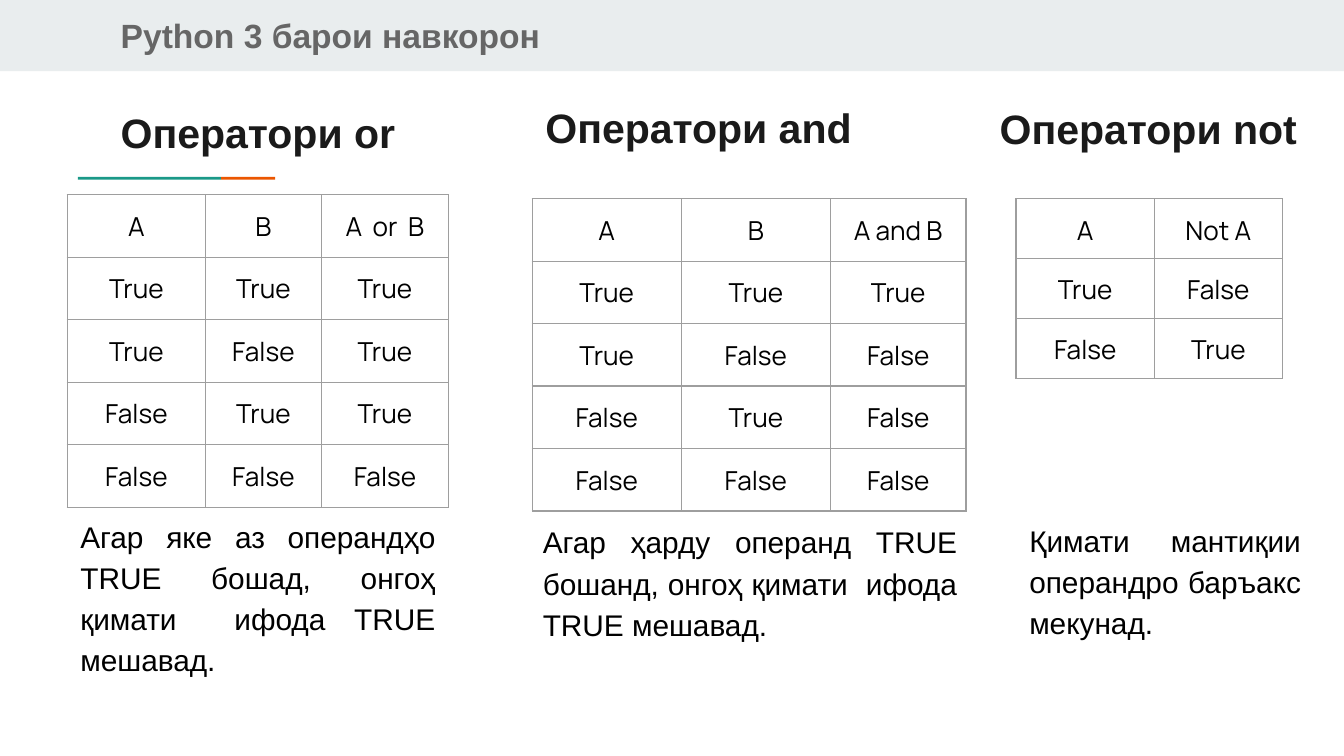
"""Build a slide with truth tables for the or, and and not operators."""
from lxml import etree
from pptx import Presentation
from pptx import util as u
from pptx.dml.color import RGBColor
from pptx.enum import shapes, text
from pptx.oxml.ns import qn

COLORS = {
    "band": "E9EDEE", "teal": "1A9988", "orange": "EB5600", "header": "666666",
    "heading": "1A1A1A", "body": "000000", "border": "9E9E9E",
}
INSET = 7.2
HEADER = {"size": u.Pt(18), "name": "Arial", "bold": True}
HEADING = {"size": u.Pt(22), "name": "Arial", "bold": True}
BODY = {"size": u.Pt(16), "name": "Arial"}
CELL = {"size": u.Pt(14), "name": "Manrope"}
JUSTIFIED = {"alignment": text.PP_ALIGN.JUSTIFY, "line_spacing": 1.15}
CENTERED = {"alignment": text.PP_ALIGN.CENTER}

HEADINGS = [
    ("Оператори or", (57.6, 50.4, 219.6, 42.5)),
    ("Оператори and", (285.1, 47.5, 219.6, 42.5)),
    ("Оператори not", (528.5, 48.2, 181.4, 41)),
]
NOTES = [
    ("Агар яке аз операндҳо TRUE бошад, онгоҳ қимати  ифода TRUE мешавад.",
     (36, 267.8, 204.5, 113)),
    ("Агар ҳарду операнд TRUE бошанд, онгоҳ қимати  ифода TRUE мешавад.",
     (283.7, 270.7, 236.2, 78.5)),
    ("Қимати мантиқии операндро баръакс мекунад.",
     (544.3, 270, 159.8, 78.5)),
]
PAIRS = [(True, True), (True, False), (False, True), (False, False)]
TABLES = [
    (["A", "B", "A  or  B"], [(a, b, a or b) for a, b in PAIRS],
     (36, 104.4), (74.2, 61.9, 68.4), 33.5, INSET),
    (["A", "B", "A and B"], [(a, b, a and b) for a, b in PAIRS],
     (285.1, 106.4), (79.9, 79.9, 72.7), 33.5, INSET),
    (["A", "Not A"], [(a, not a) for a in (True, False)],
     (544.3, 106.4), (74.2, 68.4), 32.1, 5.5),
]


def points(values):
    """Convert numbers to lengths in points."""
    return [u.Pt(value) for value in values]


def set_all(target, values):
    """Set each named attribute on the target."""
    for name, value in values.items():
        setattr(target, name, value)


def write(frame, words, font, color, layout):
    """Fill a text frame with one formatted paragraph."""
    para = frame.paragraphs[0]
    set_all(para, layout)
    span = para.add_run()
    span.text = words
    set_all(span.font, font)
    span.font.color.rgb = RGBColor.from_string(COLORS[color])


def add_bar(page, place, color):
    """Add a plain filled rectangle."""
    bar = page.shapes.add_shape(shapes.MSO_SHAPE.RECTANGLE, *points(place))
    bar.shadow.inherit = False
    bar.fill.solid()
    bar.fill.fore_color.rgb = RGBColor.from_string(COLORS[color])
    bar.line.fill.background()


def add_words(page, words, place, font, color, layout, anchor=text.MSO_ANCHOR.TOP):
    """Add a wrapping text box with even insets."""
    frame = page.shapes.add_textbox(*points(place)).text_frame
    set_all(frame, {"word_wrap": True, "vertical_anchor": anchor})
    for side in ("left", "top", "right", "bottom"):
        setattr(frame, f"margin_{side}", u.Pt(INSET))
    write(frame, words, font, color, layout)


def add_borders(cell):
    """Draw a thin line on all four sides of a cell."""
    props = cell._tc.get_or_add_tcPr()
    for index, side in enumerate(("lnL", "lnR", "lnT", "lnB")):
        line = etree.Element(qn(f"a:{side}"), w=str(u.Pt(0.75)))
        fill = etree.SubElement(line, qn("a:solidFill"))
        etree.SubElement(fill, qn("a:srgbClr"), val=COLORS["border"])
        props.insert(index, line)


def add_truth_table(page, header, results, corner, widths, height, bottom):
    """Add a truth table with a header row and unfilled cells."""
    rows = [header] + [[str(value) for value in row] for row in results]
    size = (sum(widths), height * len(rows))
    table = page.shapes.add_table(
        len(rows), len(widths), *points(corner + size)).table
    set_all(table, {"first_row": False, "horz_banding": False})
    for column, width in zip(table.columns, widths):
        column.width = u.Pt(width)
    for row, words in zip(table.rows, rows):
        row.height = u.Pt(height)
        for cell, word in zip(row.cells, words):
            cell.fill.background()
            for side in ("left", "top", "right"):
                setattr(cell, f"margin_{side}", u.Pt(INSET))
            cell.margin_bottom = u.Pt(bottom)
            add_borders(cell)
            write(cell.text_frame, word, CELL, "body", CENTERED)


def main():
    """Build and save the deck."""
    deck = Presentation()
    set_all(deck, {"slide_width": u.Pt(720), "slide_height": u.Pt(405)})
    page = deck.slides.add_slide(deck.slide_layouts[6])
    add_bar(page, (0, 0, 720, 38.2), "band")
    add_bar(page, (118.4, 94.8, 29, 1.5), "orange")
    add_bar(page, (41.8, 94.8, 76.6, 1.5), "teal")
    add_words(page, "Python 3 барои навкорон", (57.6, -2.2, 437.8, 42.5),
              HEADER, "header", {}, text.MSO_ANCHOR.MIDDLE)
    for words, place in HEADINGS:
        add_words(page, words, place, HEADING, "heading", {})
    for words, place in NOTES:
        add_words(page, words, place, BODY, "body", JUSTIFIED)
    for table in TABLES:
        add_truth_table(page, *table)
    deck.save("out.pptx")


if __name__ == "__main__":
    main()
